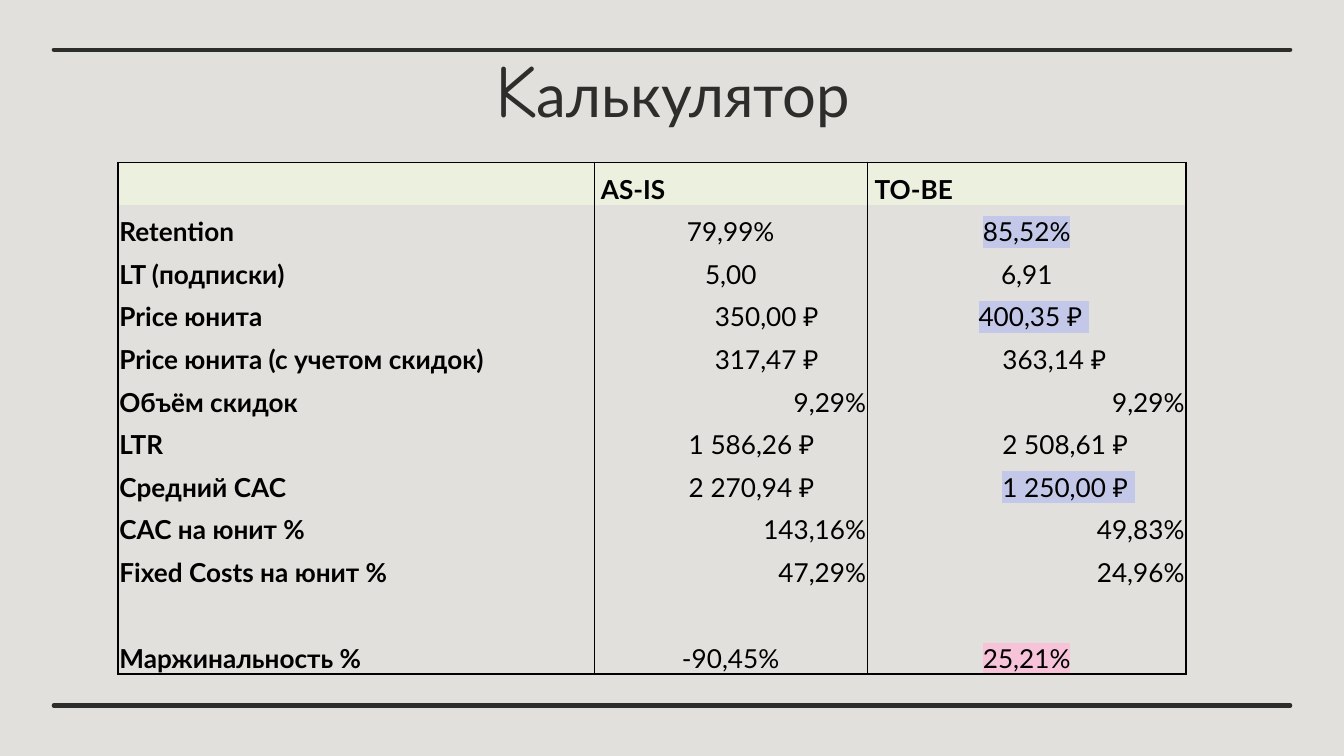
from lxml import etree
from pptx import Presentation
from pptx.dml.color import RGBColor
from pptx.enum import shapes, text
from pptx.oxml.ns import qn
from pptx.util import Pt

PAPER = RGBColor(0xE1, 0xE0, 0xDC)
INK = RGBColor(0x2D, 0x2D, 0x2C)
BLACK = RGBColor(0, 0, 0)
HEADER = RGBColor(0xEB, 0xF1, 0xDE)
LILAC = RGBColor(0xC3, 0xC8, 0xE8)
PINK = RGBColor(0xF7, 0xC3, 0xD9)

LEFT, CENTER, RIGHT = text.PP_ALIGN.LEFT, text.PP_ALIGN.CENTER, text.PP_ALIGN.RIGHT
WIDTHS = (255, 146.6, 170.6)
ROW_HEIGHT, LAST_HEIGHT = 22.8, 23.5

# Each value: wording, alignment, indent, highlight
ROWS = [
    ("", ("AS-IS", LEFT, 3, None), ("TO-BE", LEFT, 3, None)),
    ("Retention", ("79,99%", CENTER, 0, None), ("85,52%", CENTER, 0, LILAC)),
    ("LT (подписки)", ("5,00", CENTER, 0, None), ("6,91", CENTER, 0, None)),
    ("Price юнита", ("350,00 ₽", LEFT, 64, None), ("400,35 ₽ ", CENTER, 7.5, LILAC)),
    ("Price юнита (с учетом скидок)", ("317,47 ₽", LEFT, 64, None), ("363,14 ₽", LEFT, 71.5, None)),
    ("Объём скидок", ("9,29%", RIGHT, 0, None), ("9,29%", RIGHT, 0, None)),
    ("LTR", ("1 586,26 ₽", LEFT, 50, None), ("2 508,61 ₽", LEFT, 71.5, None)),
    ("Средний CAC", ("2 270,94 ₽", LEFT, 50, None), ("1 250,00 ₽ ", LEFT, 71.5, LILAC)),
    ("CAC на юнит %", ("143,16%", RIGHT, 0, None), ("49,83%", RIGHT, 0, None)),
    ("Fixed Costs на юнит %", ("47,29%", RIGHT, 0, None), ("24,96%", RIGHT, 0, None)),
    ("", ("", LEFT, 0, None), ("", LEFT, 0, None)),
    ("Маржинальность %", ("-90,45%", CENTER, 0, None), ("25,21%", CENTER, 0, PINK)),
]


def add_rule(page, y):
    """Draw a full-width horizontal rule with round ends."""
    rule = page.shapes.add_connector(shapes.MSO_CONNECTOR.STRAIGHT, Pt(28.8), Pt(y), Pt(691.2), Pt(y))
    rule.line.color.rgb = INK
    rule.line.width = Pt(2.25)
    rule.line._get_or_add_ln().set("cap", "rnd")
    etree.SubElement(rule._element.spPr, qn("a:effectLst"))


def add_title(page):
    """Write the centred title with its larger initial."""
    box = page.shapes.add_textbox(Pt(56.9), Pt(15.8), Pt(607), Pt(54.7))
    frame = box.text_frame
    frame.word_wrap = True
    frame.margin_left = frame.margin_right = frame.margin_top = frame.margin_bottom = Pt(7.2)
    para = frame.paragraphs[0]
    para.alignment = CENTER
    for wording, size, font in (("K", 40, "Comic Neue"), ("алькулятор", 32, "Lato")):
        span = para.add_run()
        span.text = wording
        span.font.size = Pt(size)
        span.font.name = font
        span.font.color.rgb = INK


def set_borders(cell, widths):
    """Set the left, right, top and bottom borders; zero hides one."""
    properties = cell._tc.get_or_add_tcPr()
    for side, width in zip("LRTB", widths):
        line = etree.SubElement(properties, qn(f"a:ln{side}"), w=str(int(Pt(width))))
        if width:
            fill = etree.SubElement(line, qn("a:solidFill"))
            etree.SubElement(fill, qn("a:srgbClr"), val=str(BLACK))
        else:
            etree.SubElement(line, qn("a:noFill"))


def write_cell(cell, wording, alignment, indent, highlight, bold):
    """Fill one cell with its wording and format."""
    cell.vertical_anchor = text.MSO_ANCHOR.BOTTOM
    cell.margin_left = cell.margin_right = cell.margin_top = Pt(0.75)
    cell.margin_bottom = Pt(0)
    para = cell.text_frame.paragraphs[0]
    para.alignment = alignment
    para.font.name = "Lato"
    para.font.size = Pt(14)
    para.font.bold = bold
    para.font.color.rgb = BLACK
    para._p.get_or_add_pPr().set("marL", str(int(Pt(indent))))
    if wording:
        span = para.add_run()
        span.text = wording
        if highlight is not None:
            mark = etree.SubElement(span._r.get_or_add_rPr(), qn("a:highlight"))
            etree.SubElement(mark, qn("a:srgbClr"), val=str(highlight))


def add_metrics(page):
    """Build the table that compares both states."""
    last_row, last_column = len(ROWS) - 1, len(WIDTHS) - 1
    height = ROW_HEIGHT * last_row + LAST_HEIGHT
    table = page.shapes.add_table(len(ROWS), len(WIDTHS), Pt(63.2), Pt(87), Pt(sum(WIDTHS)), Pt(height)).table
    table.first_row = table.horz_banding = False
    for column, width in zip(table.columns, WIDTHS):
        column.width = Pt(width)
    for r, (label, *values) in enumerate(ROWS):
        table.rows[r].height = Pt(LAST_HEIGHT if r == last_row else ROW_HEIGHT)
        for c, content in enumerate([(label, LEFT, 0, None), *values]):
            cell = table.cell(r, c)
            set_borders(cell, (1 if c == 0 else 0.5, 1 if c == last_column else 0.5,
                               int(r == 0), int(r == last_row)))
            if r == 0:
                cell.fill.solid()
                cell.fill.fore_color.rgb = HEADER
            else:
                cell.fill.background()
            write_cell(cell, *content, bold=r == 0 or c == 0)


def main():
    """Build and save the slide."""
    deck = Presentation()
    deck.slide_width, deck.slide_height = Pt(720), Pt(405)
    page = deck.slides.add_slide(deck.slide_layouts[6])
    page.background.fill.solid()
    page.background.fill.fore_color.rgb = PAPER
    for y in (378, 26.6):
        add_rule(page, y)
    add_title(page)
    add_metrics(page)
    deck.save("out.pptx")


if __name__ == "__main__":
    main()
